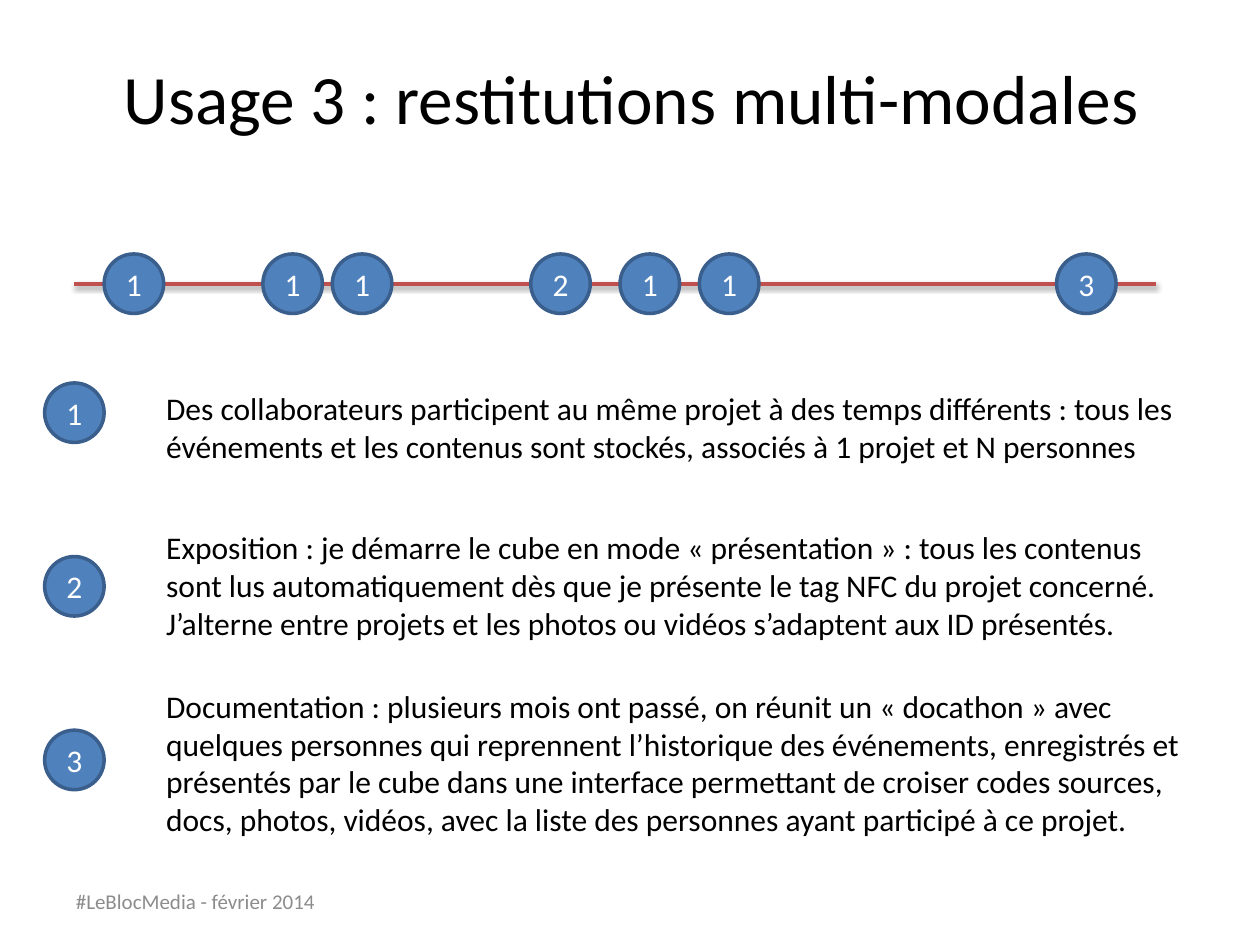
import pptx
import pptx.util
import pptx.dml.color
import pptx.enum.shapes
import pptx.enum.text
import pptx.oxml

ALIGN = pptx.enum.text.PP_ALIGN
ANCHOR = pptx.enum.text.MSO_ANCHOR
FIT = pptx.enum.text.MSO_AUTO_SIZE

THEME = {
    "font": "Calibri",
    "title": (39.6, "000000"),
    "body": (18, "000000"),
    "marker": (18, "FFFFFF"),
    "footer": (12, "8C8C8C"),
    "fill": "4F81BD",
    "outline": "3A5F8C",
    "axis": "C0504D",
    "stroke": 2,
}

# Grid: square cells of 2 mm, counted from the top left corner
CELL = pptx.util.Cm(0.2)
AXIS_LEFT, AXIS_ROW, AXIS_LENGTH = 7.5, 28.6, 109
MARKER_SIZE = 6
LEGEND_FIRST, LEGEND_PITCH, LEGEND_TEXT = AXIS_ROW + 13, 17.5, 15.5


def write(shape, paragraphs, style, align, **frame_format):
    frame = shape.text_frame
    frame.text = "\n".join(paragraphs)
    for key, value in {"word_wrap": True, **frame_format}.items():
        setattr(frame, key, value)
    size, color = THEME[style]
    for paragraph in frame.paragraphs:
        paragraph.alignment = align
        font = paragraph.runs[0].font
        for key, value in {"name": THEME["font"], "size": pptx.util.Pt(size)}.items():
            setattr(font, key, value)
        font.color.rgb = pptx.dml.color.RGBColor.from_string(color)


def cells(*counts):
    return [round(count * CELL) for count in counts]


deck = pptx.Presentation()
deck.slide_width, deck.slide_height = pptx.util.Inches(10), pptx.util.Inches(7.5)
slide = deck.slides.add_slide(deck.slide_layouts[5])

# Title
title = slide.shapes.title
title.left, title.top, title.width, title.height = cells(6.5, 1.8, 114.3, 15.9)
write(title, ["Usage 3 : restitutions multi-modales"], "title", ALIGN.CENTER,
      vertical_anchor=ANCHOR.MIDDLE)

# Time axis with its soft shadow
axis = slide.shapes.add_connector(
    pptx.enum.shapes.MSO_CONNECTOR.STRAIGHT,
    *cells(AXIS_LEFT, AXIS_ROW, AXIS_LEFT + AXIS_LENGTH, AXIS_ROW))
axis.line.color.rgb = pptx.dml.color.RGBColor.from_string(THEME["axis"])
axis.line.width = pptx.util.Pt(THEME["stroke"])
axis.element.spPr.append(pptx.oxml.parse_xml(
    '<a:effectLst xmlns:a="http://schemas.openxmlformats.org/drawingml/2006/main">'
    '<a:outerShdw blurRad="39370" dist="20320" dir="5400000" rotWithShape="0">'
    '<a:srgbClr val="000000"><a:alpha val="38000"/></a:srgbClr>'
    '</a:outerShdw></a:effectLst>'))

# Numbered markers: events on the axis, then the legend column
events = [(6, 1), (22, 1), (29, 1), (49, 2), (58, 1), (66, 1), (102, 3)]
markers = [(AXIS_LEFT + step, AXIS_ROW, usage) for step, usage in events]
markers += [(AXIS_LEFT, LEGEND_FIRST + row * LEGEND_PITCH, row + 1) for row in range(3)]
for center_x, center_y, usage in markers:
    marker = slide.shapes.add_shape(
        pptx.enum.shapes.MSO_SHAPE.OVAL,
        *cells(center_x - MARKER_SIZE / 2, center_y - MARKER_SIZE / 2,
               MARKER_SIZE, MARKER_SIZE))
    marker.shadow.inherit = False
    marker.fill.solid()
    marker.fill.fore_color.rgb = pptx.dml.color.RGBColor.from_string(THEME["fill"])
    marker.line.color.rgb = pptx.dml.color.RGBColor.from_string(THEME["outline"])
    marker.line.width = pptx.util.Pt(THEME["stroke"])
    write(marker, [str(usage)], "marker", ALIGN.CENTER, vertical_anchor=ANCHOR.MIDDLE,
          margin_left=0, margin_right=0)

# Legend texts: top row, width, height, paragraphs
legend = [
    (38.6, 108, 9, [
        "Des collaborateurs participent au même projet à des temps différents : tous les "
        "événements et les contenus sont stockés, associés à 1 projet et N personnes"]),
    (52.6, 104, 12.8, [
        "Exposition : je démarre le cube en mode « présentation » : tous les contenus "
        "sont lus automatiquement dès que je présente le tag NFC du projet concerné.",
        "J’alterne entre projets et les photos ou vidéos s’adaptent aux ID présentés."]),
    (68.6, 107, 16.6, [
        "Documentation : plusieurs mois ont passé, on réunit un « docathon » avec "
        "quelques personnes qui reprennent l’historique des événements, enregistrés et "
        "présentés par le cube dans une interface permettant de croiser codes sources, "
        "docs, photos, vidéos, avec la liste des personnes ayant participé à ce projet."]),
]
for top, width, height, paragraphs in legend:
    description = slide.shapes.add_textbox(*cells(LEGEND_TEXT, top, width, height))
    write(description, paragraphs, "body", ALIGN.LEFT, auto_size=FIT.SHAPE_TO_FIT_TEXT)

# Footer
footer = slide.shapes.add_textbox(*cells(6.4, 88.3, 29.6, 5.1))
write(footer, ["#LeBlocMedia - février 2014"], "footer", ALIGN.LEFT,
      vertical_anchor=ANCHOR.MIDDLE)

deck.save("out.pptx")
